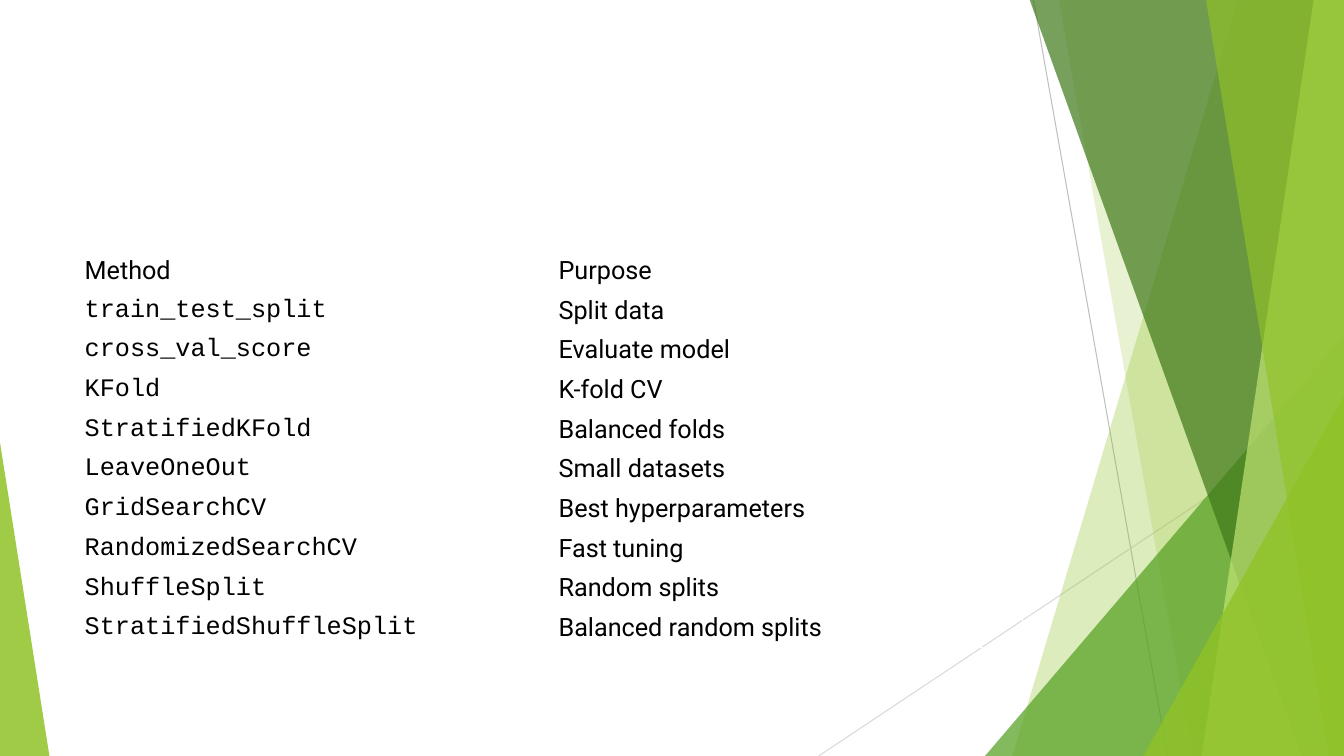
from lxml.etree import SubElement
from pptx import Presentation
from pptx.dml.color import RGBColor
from pptx.enum.shapes import MSO_CONNECTOR, MSO_SHAPE
from pptx.enum.text import MSO_ANCHOR
from pptx.oxml.ns import qn
from pptx.util import Inches, Pt


def color(hex_string):
    return RGBColor.from_string(hex_string)


def write(frame, text, font="Roboto", size=18, fill="000000"):
    span = frame.paragraphs[0].add_run()
    span.text = text
    span.font.name = font
    span.font.size = Pt(size)
    span.font.color.rgb = color(fill)


deck = Presentation()
deck.slide_width, deck.slide_height = Inches(13.33), Inches(7.5)
page = deck.slides.add_slide(deck.slide_layouts[6])
RIGHT, TOP, BOTTOM = 13.33, -0.01, 7.5

# Thin grey lines
for x1, y1, x2, y2, grey in [
    (10.25, 0, 11.58, BOTTOM, "BFBFBF"),
    (RIGHT, 4.03, 8.12, BOTTOM, "D9D9D9"),
]:
    line = page.shapes.add_connector(
        MSO_CONNECTOR.STRAIGHT, Inches(x1), Inches(y1), Inches(x2), Inches(y2))
    line.line.color.rgb = color(grey)
    line.line.width = Pt(0.75)
    SubElement(line._element.spPr, qn("a:effectLst"))

# Translucent green facets, back to front.
# A band runs from its upper to its lower left corner and on to the right edge;
# a triangle stands on the bottom edge: left, top, width, apex position.
facets = [
    ("band", (12.28, 10.04), "90C226", 30),
    ("band", (10.5, 11.83), "90C226", 20),
    ("triangle", (9.77, 3.33, 3.56, 1), "54A021", 72),
    ("band", (10.21, 12.91), "3F7819", 70),
    ("band", (13.03, 11.92), "C0E474", 70),
    ("band", (11.96, 13.18), "90C226", 65),
    ("triangle", (11.34, 3.93, 1.99, 1), "90C226", 80),
    ("triangle", (0, 4.39, 0.49, 0), "90C226", 85),
]
for kind, geometry, fill, opacity in facets:
    if kind == "band":
        upper, lower = geometry
        outline = page.shapes.build_freeform(Inches(upper), Inches(TOP))
        corners = [(RIGHT, TOP), (RIGHT, BOTTOM), (lower, BOTTOM)]
        outline.add_line_segments([(Inches(x), Inches(y)) for x, y in corners])
        facet = outline.convert_to_shape()
    else:
        left, top, width, apex = geometry
        facet = page.shapes.add_shape(
            MSO_SHAPE.ISOSCELES_TRIANGLE, Inches(left), Inches(top),
            Inches(width), Inches(BOTTOM - top))
        facet.adjustments[0] = apex
    facet.shadow.inherit = False
    facet.line.fill.background()
    facet.fill.solid()
    facet.fill.fore_color.rgb = color(fill)
    tint = facet._element.spPr.find(qn("a:solidFill"))[0]
    SubElement(tint, qn("a:alpha"), val=str(opacity * 1000))

# Table of methods
methods = [
    ("Method", "Purpose"),
    ("train_test_split", "Split data"),
    ("cross_val_score", "Evaluate model"),
    ("KFold", "K-fold CV"),
    ("StratifiedKFold", "Balanced folds"),
    ("LeaveOneOut", "Small datasets"),
    ("GridSearchCV", "Best hyperparameters"),
    ("RandomizedSearchCV", "Fast tuning"),
    ("ShuffleSplit", "Random splits"),
    ("StratifiedShuffleSplit", "Balanced random splits"),
]
table = page.shapes.add_table(
    len(methods), 2, Inches(0.74), Inches(2.49), Inches(9.4), Inches(3.9)).table
table.first_row = table.horz_banding = False
for row, texts in enumerate(methods):
    for column, text in enumerate(texts):
        cell = table.cell(row, column)
        cell.fill.background()
        cell.vertical_anchor = MSO_ANCHOR.MIDDLE
        is_code = row > 0 and column == 0
        write(cell.text_frame, text, font="Courier New" if is_code else "Roboto")

deck.save("out.pptx")
